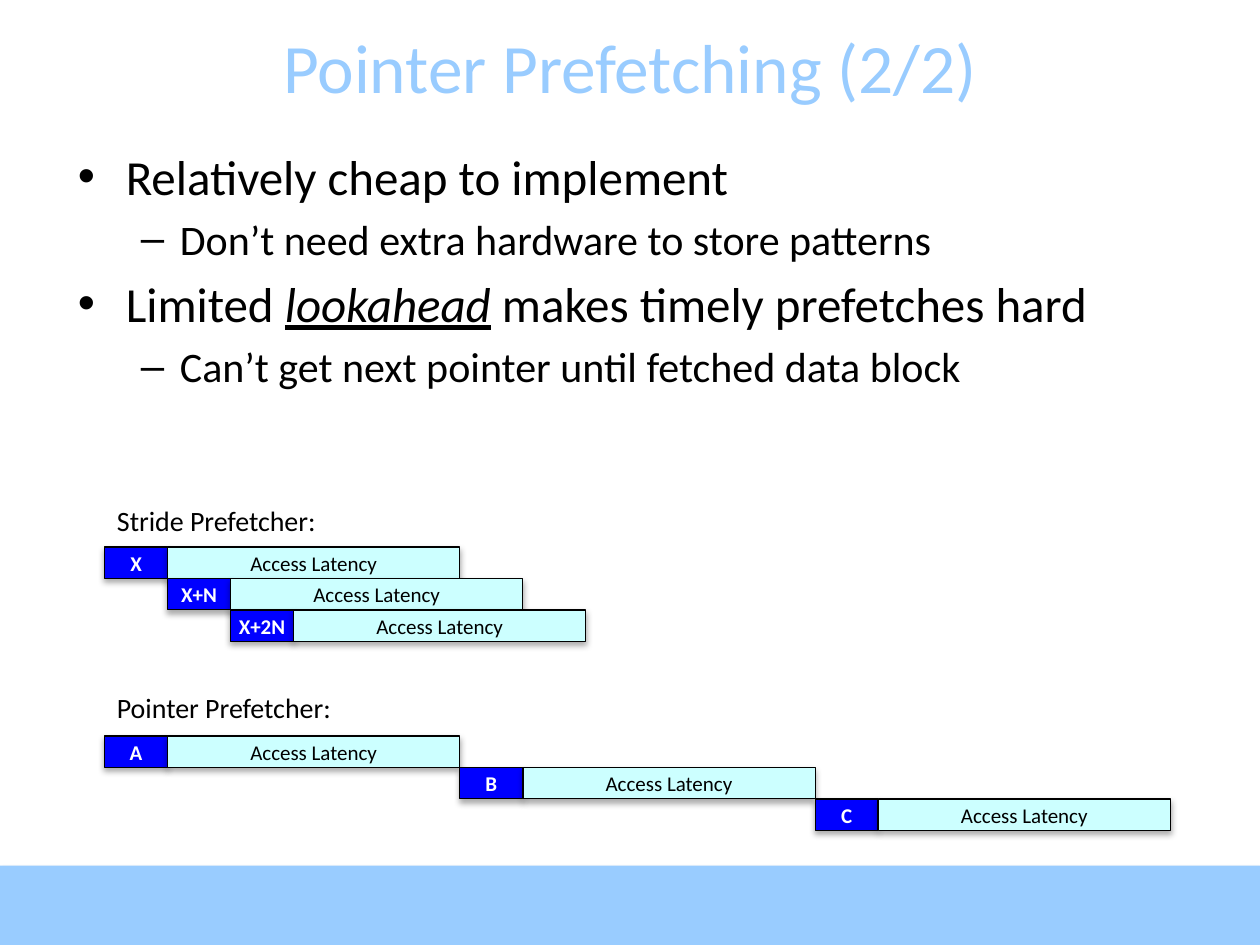
from lxml import etree
from pptx import Presentation
from pptx.dml.color import RGBColor
from pptx.enum.shapes import MSO_SHAPE
from pptx.enum.text import MSO_ANCHOR, PP_ALIGN
from pptx.oxml.ns import qn
from pptx.util import Inches, Pt

RECT = MSO_SHAPE.RECTANGLE
LEFT, CENTER = PP_ALIGN.LEFT, PP_ALIGN.CENTER
TOP, MIDDLE = MSO_ANCHOR.TOP, MSO_ANCHOR.MIDDLE
FONT = "Calibri"
HEX = {"sky": "99CCFF", "blue": "0000FF", "ice": "CCFFFF",
       "black": "000000", "white": "FFFFFF"}

# Bars: address cell, latency cell, row height
CELL, SPAN, ROW = 0.5, 2.32, 0.25
# Bullet levels: mark, size, margin, hanging indent
LEVELS = [("•", 28, 0.38, -0.38), ("–", 24, 0.81, -0.31)]
POINTS = [
    (0, [("Relatively cheap to implement", False)]),
    (1, [("Don’t need extra hardware to store patterns", False)]),
    (0, [("Limited ", False), ("lookahead", True),
         (" makes timely prefetches hard", False)]),
    (1, [("Can’t get next pointer until fetched data block", False)]),
]


def color(name):
    return RGBColor.from_string(HEX[name])


def write(para, text, size=12, ink="black", bold=False, stress=False,
          align=LEFT):
    para.alignment = align
    run = para.add_run()
    run.text = text
    font = run.font
    font.name, font.size, font.bold = FONT, Pt(size), bold
    font.color.rgb = color(ink)
    if stress:
        font.italic = font.underline = True


def shade(shape, blur, dist, alpha):
    """Give the shape a soft shadow straight below it."""
    shape.shadow.inherit = False
    effects = shape._element.spPr.find(qn("a:effectLst"))
    outer = etree.SubElement(effects, qn("a:outerShdw"), blurRad=str(Pt(blur)),
                             dist=str(Pt(dist)), dir="5400000",
                             rotWithShape="0")
    tint = etree.SubElement(outer, qn("a:srgbClr"), val=HEX["black"])
    etree.SubElement(tint, qn("a:alpha"), val=str(alpha * 1000))


def add_box(slide, x, y, w, h, fill):
    box = slide.shapes.add_shape(RECT, Inches(x), Inches(y), Inches(w),
                                 Inches(h))
    box.fill.solid()
    box.fill.fore_color.rgb = color(fill)
    return box


def add_cell(slide, x, y, w, text, fill, **style):
    cell = add_box(slide, x, y, w, ROW, fill)
    cell.line.color.rgb = color("black")
    cell.line.width = Pt(0.75)
    shade(cell, 3.5, 2.2, 32)
    frame = cell.text_frame
    frame.word_wrap = False
    frame.vertical_anchor = MIDDLE
    write(frame.paragraphs[0], text, align=CENTER, **style)


def add_text(slide, x, y, w, h, wrap=True):
    frame = slide.shapes.add_textbox(Inches(x), Inches(y), Inches(w),
                                     Inches(h)).text_frame
    frame.word_wrap = wrap
    frame.vertical_anchor = TOP
    return frame


def add_title(slide, x, y, w, h, text):
    title = slide.shapes.title
    title.left, title.top = Inches(x), Inches(y)
    title.width, title.height = Inches(w), Inches(h)
    title.text_frame.vertical_anchor = MIDDLE
    write(title.text_frame.paragraphs[0], text, size=39.6, ink="sky",
          align=CENTER)


def add_points(slide, x, y, w, h):
    frame = add_text(slide, x, y, w, h)
    for i, (level, runs) in enumerate(POINTS):
        para = frame.add_paragraph() if i else frame.paragraphs[0]
        mark, size, margin, indent = LEVELS[level]
        para.level = level
        for text, stress in runs:
            write(para, text, size=size, stress=stress)
        props = para._p.get_or_add_pPr()
        props.set("marL", str(Inches(margin)))
        props.set("indent", str(Inches(indent)))
        space = etree.SubElement(props, qn("a:spcBef"))
        etree.SubElement(space, qn("a:spcPct"), val="20000")
        etree.SubElement(props, qn("a:buFont"), typeface="Arial")
        etree.SubElement(props, qn("a:buChar"), char=mark)


def add_chain(slide, x, y, w, gap, step, label, names):
    """Draw a caption and a stair of fetches, each starting step later."""
    frame = add_text(slide, x, y, w, 0.37, wrap=False)
    write(frame.paragraphs[0], label, size=16)
    for i, name in enumerate(names):
        left, top = x + i * step, y + gap + i * ROW
        add_cell(slide, left, top, CELL, name, "blue", ink="white", bold=True)
        add_cell(slide, left + CELL, top, SPAN, "Access Latency", "ice")


def main():
    deck = Presentation()
    deck.slide_width, deck.slide_height = Inches(10), Inches(7.5)
    slide = deck.slides.add_slide(deck.slide_layouts[5])

    # Footer band
    band = add_box(slide, 0, 6.87, 10, 0.63, "sky")
    band.line.fill.background()
    shade(band, 3.1, 1.8, 35)

    # Title and bullets
    add_title(slide, 0, 0.21, 10, 0.63, "Pointer Prefetching (2/2)")
    add_points(slide, 0.52, 1.11, 9, 5.56)

    # Timelines: strides overlap, pointers wait for the whole fetch
    add_chain(slide, 0.83, 3.95, 1.81, 0.39, CELL, "Stride Prefetcher:",
              ["X", "X+N", "X+2N"])
    add_chain(slide, 0.83, 5.43, 1.94, 0.41, CELL + SPAN,
              "Pointer Prefetcher:", ["A", "B", "C"])

    deck.save("out.pptx")


if __name__ == "__main__":
    main()
